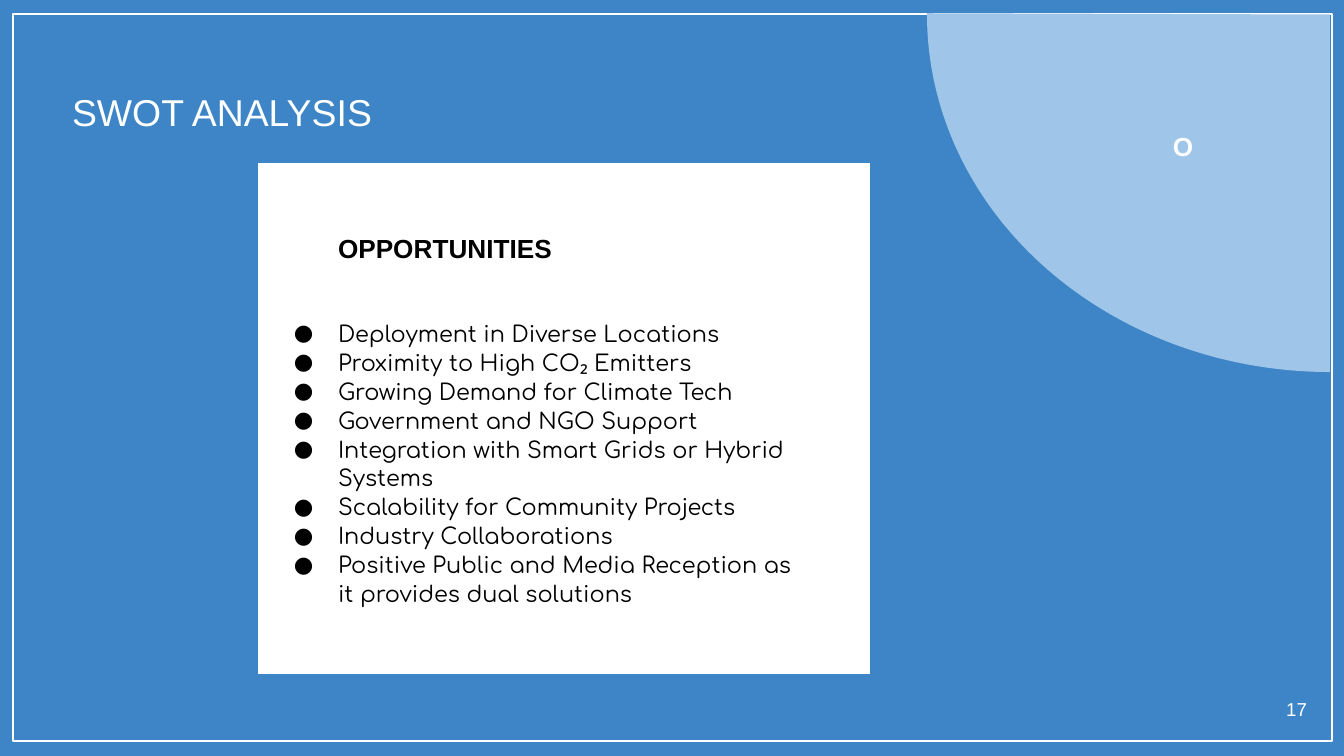
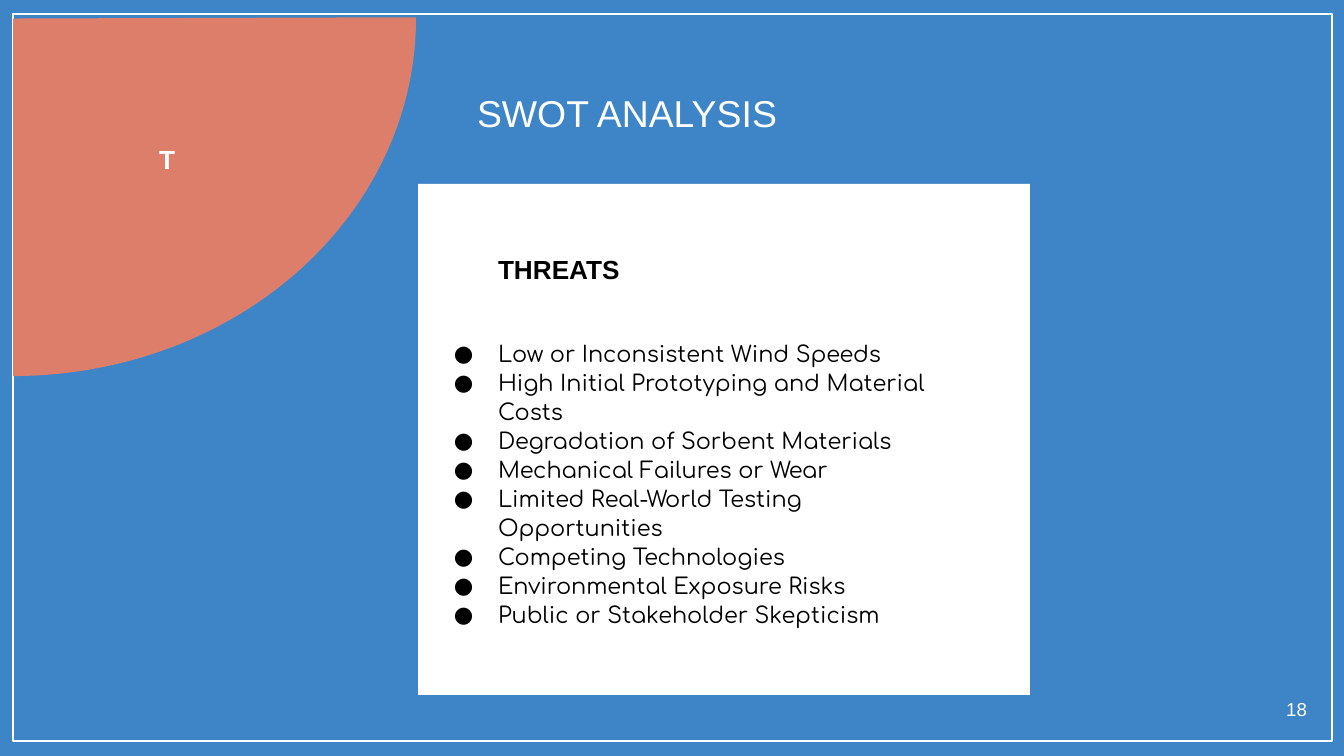
from dataclasses import dataclass

from lxml import etree
from pptx import Presentation
from pptx import util as u
from pptx.dml.color import RGBColor
from pptx.enum import shapes, text
from pptx.oxml import ns

SCALE = 914400 / 134.4


@dataclass(frozen=True)
class Theme:
    blue: str = "3D85C6"
    white: str = "FFFFFF"
    black: str = "000000"
    sky: str = "9FC5E8"
    coral: str = "DD7E6B"
    sans: str = "Arial"
    rounded: str = "Comfortaa"
    title: int = 20
    heading: int = 14
    item: int = 12
    number: int = 10
    spacing: float = 1.08


theme = Theme()


def px(*lengths):
    return [u.Emu(round(length * SCALE)) for length in lengths]


def write(para, wording, size, color, font=theme.sans, bold=False,
          align=text.PP_ALIGN.LEFT, before=0):
    para.alignment = align
    para.line_spacing = theme.spacing
    para.space_before = u.Pt(before)
    span = para.add_run()
    span.text = wording
    span.font.name = font
    span.font.size = u.Pt(size)
    span.font.bold = bold
    span.font.color.rgb = RGBColor.from_string(color)


pages = [
    dict(number="17", title=(59, 73, 1210, 60), pie=(927, -343), color=theme.sky,
         flip=True, letter="O", label=(1159, 121, 48, 62), card=(258, 163),
         heading="OPPORTUNITIES",
         items=["Deployment in Diverse Locations",
                "Proximity to High CO₂ Emitters",
                "Growing Demand for Climate Tech",
                "Government and NGO Support",
                "Integration with Smart Grids or Hybrid Systems",
                "Scalability for Community Projects",
                "Industry Collaborations",
                "Positive Public and Media Reception as it provides dual solutions"]),
    dict(number="18", title=(464, 74, 802, 60), pie=(-390, -339), color=theme.coral,
         flip=False, letter="T", label=(142, 134, 50, 60), card=(418, 184),
         heading="THREATS",
         items=["Low or Inconsistent Wind Speeds",
                "High Initial Prototyping and Material Costs",
                "Degradation of Sorbent Materials",
                "Mechanical Failures or Wear",
                "Limited Real-World Testing Opportunities",
                "Competing Technologies",
                "Environmental Exposure Risks",
                "Public or Stakeholder Skepticism"]),
]

deck = Presentation()
deck.slide_width, deck.slide_height = px(1344, 756)
master = deck.slide_master
master.background.fill.solid()
master.background.fill.fore_color.rgb = RGBColor.from_string(theme.blue)

for number, content in enumerate(pages):
    page = deck.slides.add_slide(deck.slide_layouts[1])

    # Thin frame, moved to the master so that every slide shows it
    if number == 0:
        frame = page.shapes.add_shape(shapes.MSO_SHAPE.RECTANGLE, *px(13, 14, 1319, 727))
        frame.shadow.inherit = False
        frame.fill.background()
        frame.line.color.rgb = RGBColor.from_string(theme.white)
        frame.line.width = u.Pt(0.75)
        master.shapes._spTree.append(frame._element)

    # Quarter disc in the corner
    disc = page.shapes.add_shape(shapes.MSO_SHAPE.PIE, *px(*content["pie"], 806, 715))
    disc.adjustments[0], disc.adjustments[1] = 107.89, 162
    disc.rotation = 180
    if content["flip"]:
        disc._element.spPr.xfrm.set("flipH", "1")
    disc.shadow.inherit = False
    disc.fill.solid()
    disc.fill.fore_color.rgb = RGBColor.from_string(content["color"])
    disc.line.fill.background()

    # Title
    title = page.shapes.title
    title.left, title.top, title.width, title.height = px(*content["title"])
    write(title.text_frame.paragraphs[0], content["title_text"] if "title_text" in content
          else "SWOT ANALYSIS", theme.title, theme.white)

    # White card with heading and list
    card = page.placeholders[1]
    card.left, card.top, card.width, card.height = px(*content["card"], 612, 511)
    card.fill.solid()
    card.fill.fore_color.rgb = RGBColor.from_string(theme.white)
    heading = card.text_frame.paragraphs[0]
    properties = heading._p.get_or_add_pPr()
    properties.set("marL", str(px(67)[0]))
    properties.set("indent", "0")
    etree.SubElement(properties, ns.qn("a:buNone"))
    write(heading, content["heading"], theme.heading, theme.black, bold=True)
    for index, item in enumerate(content["items"]):
        para = card.text_frame.add_paragraph()
        properties = para._p.get_or_add_pPr()
        properties.set("marL", str(px(67)[0]))
        properties.set("indent", str(px(-44)[0]))
        bullet_color = etree.SubElement(properties, ns.qn("a:buClr"))
        etree.SubElement(bullet_color, ns.qn("a:srgbClr"), val=theme.black)
        etree.SubElement(properties, ns.qn("a:buFont"), typeface=theme.rounded)
        etree.SubElement(properties, ns.qn("a:buChar"), char="●")
        write(para, item, theme.item, theme.black, theme.rounded,
              before=29 if index == 0 else 0)

    # Letter on the disc and page number
    letter = page.shapes.add_textbox(*px(*content["label"]))
    write(letter.text_frame.paragraphs[0], content["letter"], theme.heading,
          theme.white, bold=True, align=text.PP_ALIGN.CENTER)
    page_number = page.shapes.add_textbox(*px(1253, 683, 67, 43))
    write(page_number.text_frame.paragraphs[0], content["number"], theme.number,
          theme.white, align=text.PP_ALIGN.RIGHT)

    # Wrapping, anchors and insets
    for box, right in ((title, 13), (card, 77), (page_number, 13), (letter, None)):
        body = box.text_frame
        body.word_wrap = True
        body.auto_size = text.MSO_AUTO_SIZE.NONE
        body.vertical_anchor = text.MSO_ANCHOR.MIDDLE if box is card else text.MSO_ANCHOR.TOP
        if right:
            body.margin_left, body.margin_top, body.margin_right, body.margin_bottom = px(
                13, 13, right, 13)

deck.save("out.pptx")
